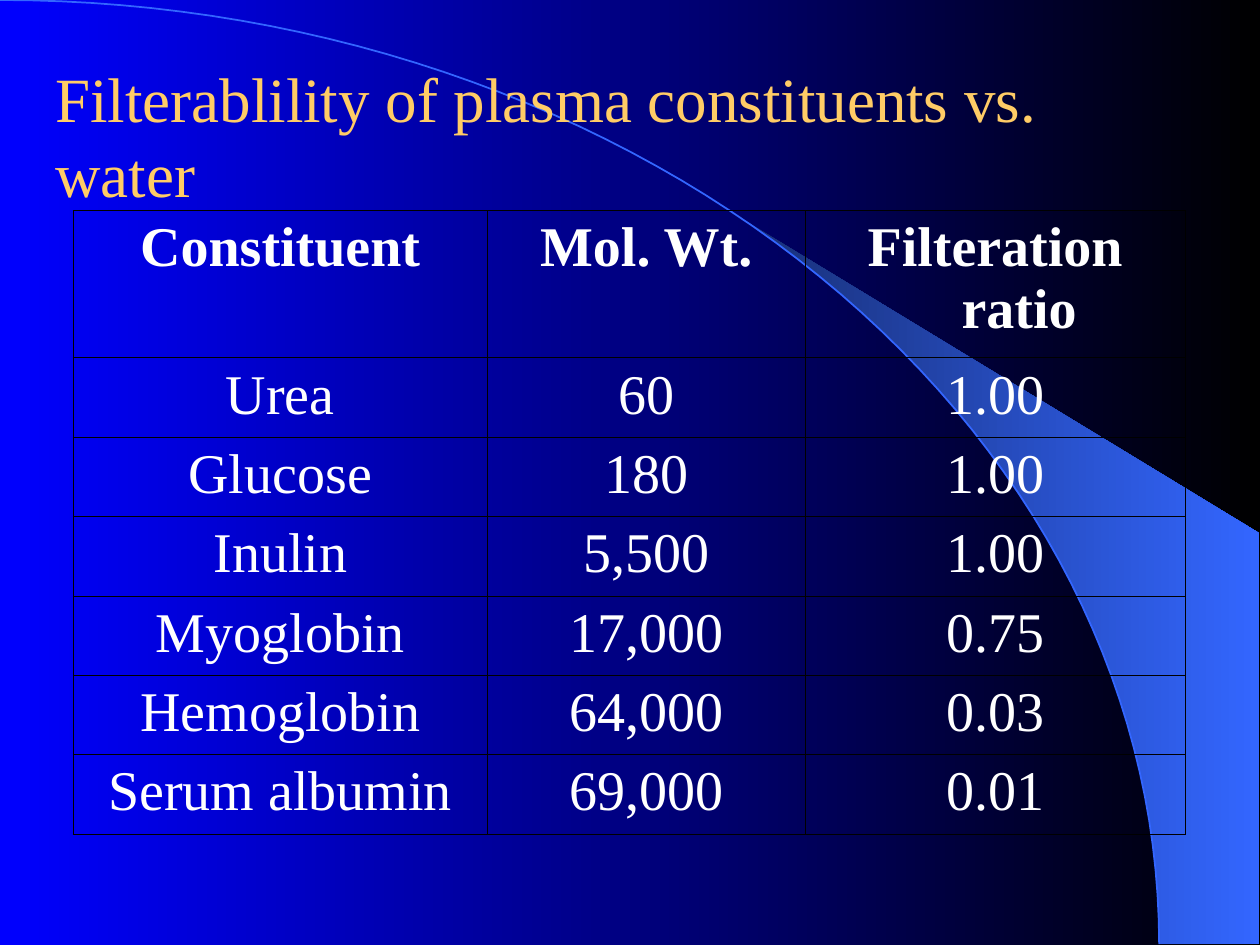
"""Build a slide with a table of plasma constituents and their filtration ratios."""
from math import asin, cos, pi, sin

from lxml import etree
from pptx import Presentation
from pptx.dml.color import RGBColor
from pptx.enum.text import MSO_ANCHOR, MSO_AUTO_SIZE, PP_ALIGN
from pptx.oxml.ns import qn
from pptx.util import Inches, Pt

CENTER, LEFT = PP_ALIGN.CENTER, PP_ALIGN.LEFT
TOP, FIT_SHAPE = MSO_ANCHOR.TOP, MSO_AUTO_SIZE.SHAPE_TO_FIT_TEXT
BLUE = RGBColor(0x00, 0x00, 0xFF)
BLACK = RGBColor(0x00, 0x00, 0x00)
NAVY = RGBColor(0x18, 0x2F, 0x76)
SKY = RGBColor(0x33, 0x66, 0xFF)
GOLD = RGBColor(0xFF, 0xCC, 0x66)
WHITE = RGBColor(0xFF, 0xFF, 0xFF)
FONT = "Times New Roman"
ROWS = [
    ("Constituent", "Mol. Wt.", "Filteration ratio"),
    ("Urea", "60", "1.00"),
    ("Glucose", "180", "1.00"),
    ("Inulin", "5,500", "1.00"),
    ("Myoglobin", "17,000", "0.75"),
    ("Hemoglobin", "64,000", "0.03"),
    ("Serum albumin", "69,000", "0.01"),
]
COL_WIDTHS = [3.29, 2.52, 3.02]
ROW_HEIGHTS = [1.17] + [0.63] * (len(ROWS) - 1)


def set_gradient(fill, start, end):
    fill.gradient()
    fill.gradient_angle = 0
    for stop, color, position in zip(fill.gradient_stops, (start, end), (0, 1)):
        stop.color.rgb = color
        stop.position = position


def add_outline(shapes, points, close):
    builder = shapes.build_freeform(*points[0])
    builder.add_line_segments(points[1:], close=close)
    sp = builder.convert_to_shape()
    sp.shadow.inherit = False
    return sp


prs = Presentation()
prs.slide_width, prs.slide_height = Inches(10), Inches(7.5)
W, H = prs.slide_width, prs.slide_height
s = prs.slides.add_slide(prs.slide_layouts[5])
set_gradient(s.background.fill, BLUE, BLACK)

RX, RY, STEPS = 0.92 * W, 0.999 * H, 60
arcs = []
for first in (asin(0.64), 0):
    angles = [first + (pi / 2 - first) * i / STEPS for i in range(STEPS + 1)]
    arcs.append([(round(RX * sin(a)), round(RY * (1 - cos(a)))) for a in angles])

edge = round(0.999 * W)
band = add_outline(s.shapes, arcs[0] + [(edge, round(RY)), (edge, round(0.564 * H))], True)
set_gradient(band.fill, NAVY, SKY)
band.line.fill.background()

curve = add_outline(s.shapes, arcs[1], False)
curve.fill.background()
curve.line.color.rgb = SKY
curve.line.width = Pt(1)

table = s.shapes.add_table(
    len(ROWS), len(COL_WIDTHS), Inches(0.58), Inches(1.67),
    Inches(sum(COL_WIDTHS)), Inches(sum(ROW_HEIGHTS))).table
table.first_row = table.horz_banding = False
for col, width in zip(table.columns, COL_WIDTHS):
    col.width = Inches(width)
for row, height in zip(table.rows, ROW_HEIGHTS):
    row.height = Inches(height)

for i, values in enumerate(ROWS):
    for j, value in enumerate(values):
        cell = table.cell(i, j)
        tcPr = cell._tc.get_or_add_tcPr()
        for side in ("a:lnL", "a:lnR", "a:lnT", "a:lnB"):
            ln = etree.SubElement(tcPr, qn(side), w=str(Pt(0.45)))
            solid = etree.SubElement(ln, qn("a:solidFill"))
            etree.SubElement(solid, qn("a:srgbClr"), val=str(BLACK))
        cell.fill.background()
        p = cell.text_frame.paragraphs[0]
        p.text = value
        p.alignment = CENTER
        pPr = p._p.get_or_add_pPr()
        pPr.set("marL", str(Inches(0.38)))
        pPr.set("indent", str(Inches(-0.38)))
        font = p.runs[0].font
        font.name, font.size, font.bold = FONT, Pt(32), i == 0
        font.color.rgb = WHITE

title = s.shapes.title
title.left, title.top = round(0.034 * W), round(0.056 * H)
title.width, title.height = round(0.922 * W), round(0.093 * H)
tf = title.text_frame
tf.text = "Filterablility of plasma constituents vs. water"
tf.word_wrap = False
tf.auto_size = FIT_SHAPE
tf.vertical_anchor = TOP
p = tf.paragraphs[0]
p.alignment = LEFT
font = p.runs[0].font
font.name, font.size = FONT, Pt(36)
font.color.rgb = GOLD
s.shapes._spTree.append(title._element)

prs.save("out.pptx")
